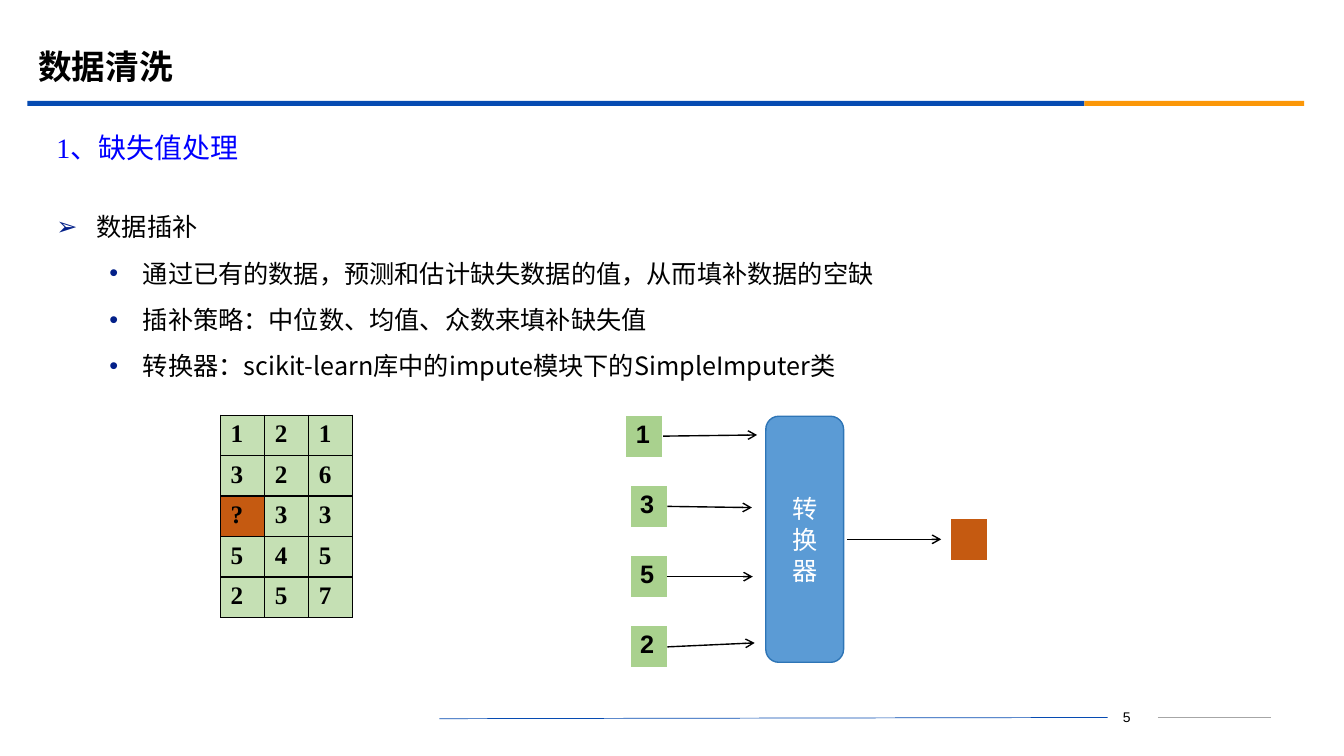
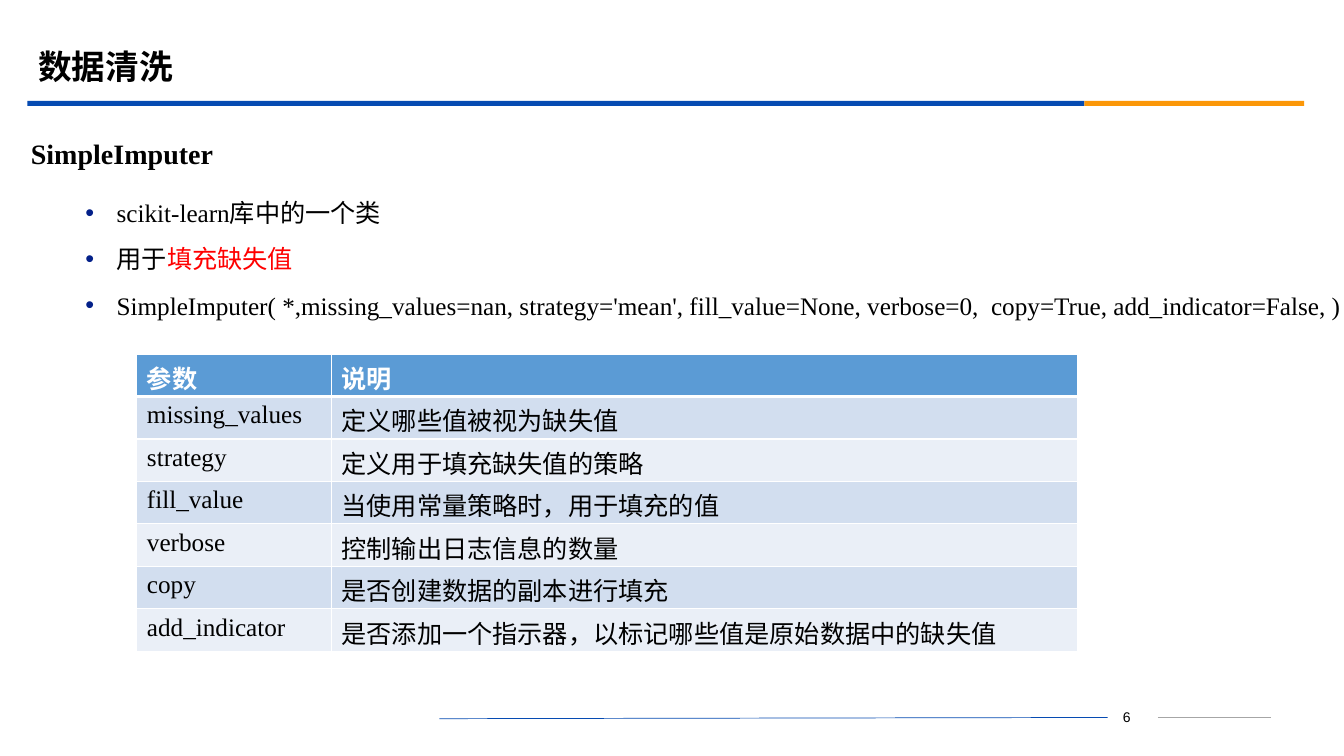
import pptx
import pptx.dml.color
import pptx.enum.shapes
import pptx.enum.text
import pptx.oxml
import pptx.oxml.ns
import pptx.util
from lxml import etree

Cm = pptx.util.Cm
Pt = pptx.util.Pt
ALIGN = pptx.enum.text.PP_ALIGN
ANCHOR = pptx.enum.text.MSO_ANCHOR
SHAPE = pptx.enum.shapes.MSO_SHAPE
qn = pptx.oxml.ns.qn

BLACK, WHITE, RED = "000000", "FFFFFF", "FF0000"
BAND_BLUE, BAND_ORANGE, RULE_GRAY = "064BB2", "FB9708", "A6A6A6"
HEADING_BLUE, BULLET_BLUE = "0000FF", "032089"
BOX_BLUE, BOX_EDGE = "5B9BD5", "2E75B6"
PALE_GREEN, GREEN, MISSING = "C5E0B4", "A9D18E", "C55A11"
STRIPES = ("EAEFF7", "D2DEEF")
SERIF, SANS, CHINESE, TITLE_FONT = "Times New Roman", "Arial", "Noto Sans CJK SC", "Montserrat"


def color(value):
    return pptx.dml.color.RGBColor.from_string(value)


def add_run(paragraph, text, size=18, font=SERIF, fill=BLACK, bold=False):
    run = paragraph.add_run()
    run.text = text
    run.font.size = Pt(size)
    run.font.bold = bold
    run.font.color.rgb = color(fill)
    run.font.name = font
    properties = run.font._element
    etree.SubElement(properties, qn("a:ea")).set("typeface", CHINESE)


def add_text_box(slide, left, top, width, height, anchor=ANCHOR.TOP):
    box = slide.shapes.add_textbox(Cm(left), Cm(top), Cm(width), Cm(height))
    frame = box.text_frame
    frame.word_wrap = True
    frame.vertical_anchor = anchor
    return frame


def add_box(slide, preset, left, top, width, height, fill, edge=None):
    shape = slide.shapes.add_shape(preset, Cm(left), Cm(top), Cm(width), Cm(height))
    shape.shadow.inherit = False
    shape.fill.solid()
    shape.fill.fore_color.rgb = color(fill)
    if edge:
        shape.line.color.rgb = color(edge)
        shape.line.width = Pt(1)
    else:
        shape.line.fill.background()
    return shape


def add_line(slide, start, end, stroke=BLACK, width=1, arrow=False):
    connector = slide.shapes.add_connector(
        pptx.enum.shapes.MSO_CONNECTOR.STRAIGHT,
        Cm(start[0]), Cm(start[1]), Cm(end[0]), Cm(end[1]))
    connector.line.color.rgb = color(stroke)
    connector.line.width = Pt(width)
    if arrow:
        etree.SubElement(connector.get_or_add_ln(), qn("a:tailEnd")).set("type", "arrow")
    etree.SubElement(connector._element.spPr, qn("a:effectLst"))


def set_bullet(paragraph, character, margin, hanging):
    """Give the paragraph a coloured bullet; lengths are in cm."""
    properties = paragraph._p.get_or_add_pPr()
    properties.set("marL", str(Cm(margin)))
    properties.set("indent", str(-Cm(hanging)))
    bullet_color = etree.SubElement(properties, qn("a:buClr"))
    etree.SubElement(bullet_color, qn("a:srgbClr")).set("val", BULLET_BLUE)
    etree.SubElement(properties, qn("a:buFont")).set("typeface", SANS)
    etree.SubElement(properties, qn("a:buChar")).set("char", character)


def style_cell(cell, fill, border, top=1, bottom=1):
    properties = cell._tc.get_or_add_tcPr()
    for side, width in (("L", 1), ("R", 1), ("T", top), ("B", bottom)):
        line = etree.SubElement(properties, qn("a:ln" + side))
        line.set("w", str(Pt(width)))
        solid = etree.SubElement(line, qn("a:solidFill"))
        etree.SubElement(solid, qn("a:srgbClr")).set("val", border)
    cell.fill.solid()
    cell.fill.fore_color.rgb = color(fill)


def add_plain_table(slide, left, top, widths, row_height, row_count):
    frame = slide.shapes.add_table(
        row_count, len(widths), Cm(left), Cm(top),
        Cm(sum(widths)), Cm(row_height * row_count))
    table = frame.table
    table.first_row = False
    table.horz_banding = False
    for column, width in zip(table.columns, widths):
        column.width = Cm(width)
    for row in table.rows:
        row.height = Cm(row_height)
    return table


def add_page(presentation, title, number):
    """Add a slide with its title, the band under it and the footer."""
    slide = presentation.slides.add_slide(presentation.slide_layouts[5])
    add_box(slide, SHAPE.RECTANGLE, 0.69, 2.54, 26.64, 0.13, BAND_BLUE)
    add_box(slide, SHAPE.RECTANGLE, 27.33, 2.54, 5.54, 0.13, BAND_ORANGE)
    add_line(slide, (11.07, 18.11), (27.91, 18.08), BAND_BLUE, 0.5)
    add_line(slide, (29.18, 18.08), (32.03, 18.08), RULE_GRAY, 0.75)
    footer = add_text_box(slide, 27.61, 17.75, 1.57, 0.64, ANCHOR.MIDDLE)
    footer.paragraphs[0].alignment = ALIGN.CENTER
    add_run(footer.paragraphs[0], str(number), 10, SANS)

    heading = slide.shapes.title
    heading.left, heading.top = Cm(0.71), Cm(1)
    heading.width, heading.height = Cm(30.48), Cm(1.47)
    heading.text_frame.vertical_anchor = ANCHOR.MIDDLE
    paragraph = heading.text_frame.paragraphs[0]
    paragraph.alignment = ALIGN.LEFT
    paragraph.line_spacing = 0.9
    add_run(paragraph, title, 24, TITLE_FONT, bold=True)
    return slide


def add_subtitle(slide, left, top, text, fill=BLACK, bold=False):
    frame = add_text_box(slide, left, top, 30.86, 1.19, ANCHOR.MIDDLE)
    paragraph = frame.paragraphs[0]
    paragraph.line_spacing = 0.9
    add_run(paragraph, text, 20, fill=fill, bold=bold)


def add_bullets(frame, items, margin, hanging, font, heading=None):
    """Fill the frame with items, each a list of (text, colour) runs."""
    paragraph = frame.paragraphs[0]
    if heading:
        paragraph.line_spacing = 1.5
        paragraph.space_before = Pt(10)
        set_bullet(paragraph, "➢", 1.02, 1.02)
        add_run(paragraph, heading)
    for index, item in enumerate(items):
        if heading or index:
            paragraph = frame.add_paragraph()
        paragraph.level = 1
        paragraph.line_spacing = 1.3
        paragraph.space_before = Pt(5)
        set_bullet(paragraph, "•", margin, hanging)
        for text, fill in item:
            add_run(paragraph, text, font=font, fill=fill)


def add_data_grid(slide, left, top):
    rows = ("121", "326", "?33", "545", "257")
    table = add_plain_table(slide, left, top, [1.11] * 3, 1.02, len(rows))
    for row_index, row in enumerate(rows):
        for column_index, value in enumerate(row):
            cell = table.cell(row_index, column_index)
            style_cell(cell, MISSING if value == "?" else PALE_GREEN, BLACK)
            add_run(cell.text_frame.paragraphs[0], value, bold=True)


def add_value_tile(slide, left, top, fill, value=None):
    table = add_plain_table(slide, left, top, [0.94], 1.09, 1)
    cell = table.cell(0, 0)
    style_cell(cell, fill, WHITE, bottom=3)
    if value:
        add_run(cell.text_frame.paragraphs[0], value, font=SANS, bold=True)


def add_converter_diagram(slide, left, top):
    pitch, tile_width, arrow_drop = 1.77, 0.94, 0.53
    # value, tile offset, arrow tip offset, arrow rise or fall
    inputs = (("1", 0, 3.31, -0.03), ("3", 0.11, 3.18, 0.03),
              ("5", 0.11, 3.2, 0), ("2", 0.11, 3.25, -0.1))
    for index, (value, offset, tip, slope) in enumerate(inputs):
        tile_top = top + index * pitch
        add_value_tile(slide, left + offset, tile_top, GREEN, value)
        arrow_y = tile_top + arrow_drop
        add_line(slide, (left + offset + tile_width, arrow_y),
                 (left + tip, arrow_y + slope), arrow=True)

    converter = add_box(slide, SHAPE.ROUNDED_RECTANGLE, left + 3.53, top + 0.03,
                        1.96, 6.2, BOX_BLUE, BOX_EDGE)
    frame = converter.text_frame
    frame.word_wrap = True
    frame.margin_left = frame.margin_right = Cm(0.45)
    frame.vertical_anchor = ANCHOR.MIDDLE
    paragraph = frame.paragraphs[0]
    paragraph.alignment = ALIGN.CENTER
    paragraph.line_spacing = Pt(22)
    add_run(paragraph, "转换器", font=CHINESE, fill=WHITE)

    output_y = top + 3.13
    add_line(slide, (left + 5.57, output_y), (left + 7.95, output_y), arrow=True)
    add_value_tile(slide, left + 8.18, top + 2.6, MISSING)


def add_parameter_table(slide, left, top):
    rows = (
        ("参数", "说明"),
        ("missing_values", "定义哪些值被视为缺失值"),
        ("strategy", "定义用于填充缺失值的策略"),
        ("fill_value", "当使用常量策略时，用于填充的值"),
        ("verbose", "控制输出日志信息的数量"),
        ("copy", "是否创建数据的副本进行填充"),
        ("add_indicator", "是否添加一个指示器，以标记哪些值是原始数据中的缺失值"),
    )
    table = add_plain_table(slide, left, top, [4.9, 18.8], 1.07, len(rows))
    table.first_row = True
    for row_index, row in enumerate(rows):
        header = row_index == 0
        for column_index, text in enumerate(row):
            cell = table.cell(row_index, column_index)
            style_cell(cell, BOX_BLUE if header else STRIPES[row_index % 2], WHITE,
                       top=3 if row_index == 1 else 1, bottom=3 if header else 1)
            add_run(cell.text_frame.paragraphs[0], text, font=SANS if header else SERIF,
                    fill=WHITE if header else BLACK, bold=header)


def build_imputation_slide(presentation):
    slide = add_page(presentation, "数据清洗", 5)
    add_subtitle(slide, 1.17, 3.18, "1、缺失值处理", HEADING_BLUE)
    items = [
        [("通过已有的数据，预测和估计缺失数据的值，从而填补数据的空缺", BLACK)],
        [("插补策略：中位数、均值、众数来填补缺失值", BLACK)],
        [("转换器：scikit-learn库中的impute模块下的SimpleImputer类", BLACK)],
    ]
    frame = add_text_box(slide, 1.17, 4.83, 30.86, 5.49)
    add_bullets(frame, items, 2.18, 0.84, CHINESE, heading="数据插补")
    add_data_grid(slide, 5.56, 10.46)
    add_converter_diagram(slide, 15.77, 10.46)


def build_class_slide(presentation):
    slide = add_page(presentation, "数据清洗", 6)
    add_subtitle(slide, 0.53, 3.33, "SimpleImputer", bold=True)
    items = [
        [("scikit-learn库中的一个类", BLACK)],
        [("用于", BLACK), ("填充缺失值", RED)],
        [("SimpleImputer( *,missing_values=nan, strategy='mean', fill_value=None, "
          "verbose=0,  copy=True, add_indicator=False, )", BLACK)],
    ]
    frame = add_text_box(slide, 1.9, 4.62, 32.69, 3.86)
    add_bullets(frame, items, 0.79, 0.79, SERIF)
    add_parameter_table(slide, 3.45, 8.92)


def main():
    presentation = pptx.Presentation()
    presentation.slide_width = Cm(33.87)
    presentation.slide_height = Cm(19.05)
    build_imputation_slide(presentation)
    build_class_slide(presentation)
    presentation.save("out.pptx")


if __name__ == "__main__":
    main()
